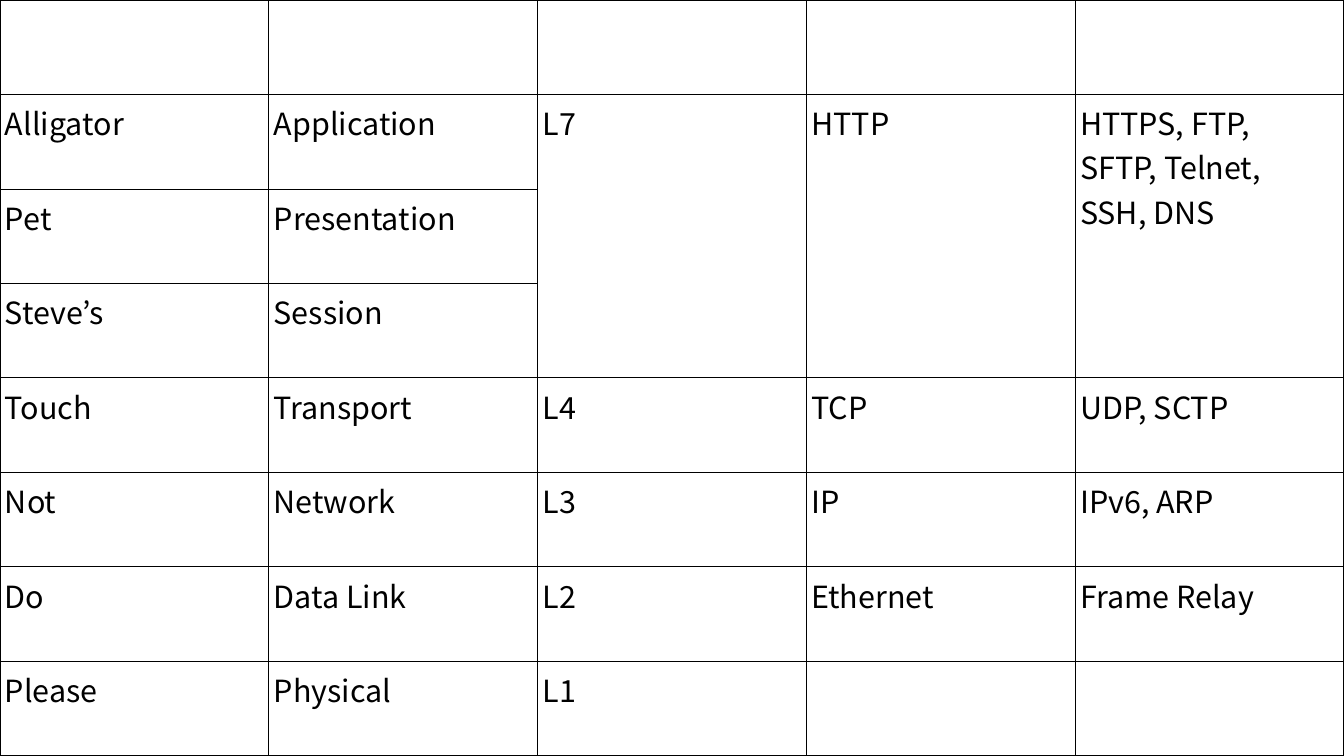
from itertools import product

from lxml.etree import SubElement
from pptx import Presentation
from pptx.dml.color import RGBColor
from pptx.oxml.ns import qn
from pptx.util import Pt

LAYERS = [
    ("", "", "", "", ""),
    ("Alligator", "Application", "L7", "HTTP", "HTTPS, FTP,\nSFTP, Telnet,\nSSH, DNS"),
    ("Pet", "Presentation", "", "", ""),
    ("Steve’s", "Session", "", "", ""),
    ("Touch", "Transport", "L4", "TCP", "UDP, SCTP"),
    ("Not", "Network", "L3", "IP", "IPv6, ARP"),
    ("Do", "Data Link", "L2", "Ethernet", "Frame Relay"),
    ("Please", "Physical", "L1", "", ""),
]
MERGED_COLUMNS = (2, 3, 4)
MERGED_ROWS = (1, 3)
FONT = "Noto Sans CJK KR"
INK, PAPER = "000000", "FFFFFF"
WIDTH, HEIGHT = 1344, 756
INSET_X, INSET_Y = 5, 6
BORDER = Pt(0.57)


def px(length):
    return round(length * 914400 / 122)


def color(value):
    return RGBColor.from_string(value)


def add_borders(cell):
    properties = cell._tc.get_or_add_tcPr()
    for side in ("a:lnL", "a:lnR", "a:lnT", "a:lnB"):
        border = SubElement(properties, qn(side), w=str(int(BORDER)))
        SubElement(SubElement(border, qn("a:solidFill")), qn("a:srgbClr"), val=INK)


def format_cell(cell, wording):
    cell.margin_left = cell.margin_right = px(INSET_X)
    cell.margin_top = cell.margin_bottom = px(INSET_Y)
    add_borders(cell)
    cell.fill.solid()
    cell.fill.fore_color.rgb = color(PAPER)
    cell.text = wording
    for paragraph in cell.text_frame.paragraphs:
        paragraph.font.name = FONT
        paragraph.font.size = Pt(18)
        paragraph.font.color.rgb = color(INK)


def main():
    deck = Presentation()
    deck.slide_width, deck.slide_height = px(WIDTH), px(HEIGHT)
    slide = deck.slides.add_slide(deck.slide_layouts[6])
    row_count, column_count = len(LAYERS), len(LAYERS[0])
    layers = slide.shapes.add_table(
        row_count, column_count, 0, 0, px(WIDTH), px(HEIGHT)
    ).table
    layers.first_row = layers.horz_banding = False
    for column in layers.columns:
        column.width = px(WIDTH / column_count)
    for row in layers.rows:
        row.height = px(HEIGHT / row_count)
    for row, column in product(range(row_count), range(column_count)):
        format_cell(layers.cell(row, column), LAYERS[row][column])
    first, last = MERGED_ROWS
    for column in MERGED_COLUMNS:
        layers.cell(first, column).merge(layers.cell(last, column))
    deck.save("out.pptx")


if __name__ == "__main__":
    main()
